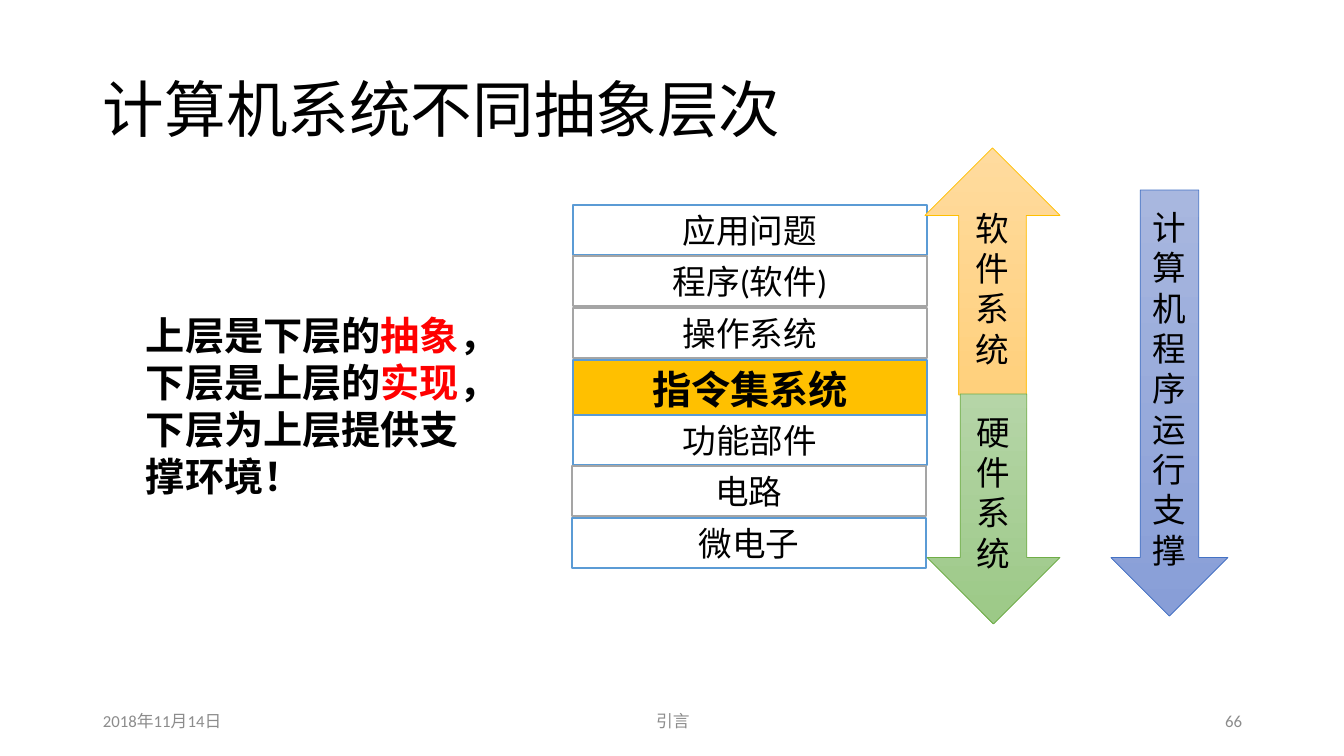
from pptx import Presentation
from pptx import util as u
from pptx.dml.color import RGBColor
from pptx.enum import shapes, text

BLACK = RGBColor(0x00, 0x00, 0x00)
WHITE = RGBColor(0xFF, 0xFF, 0xFF)
GREY = RGBColor(0x8C, 0x8C, 0x8C)
RED = RGBColor(0xFF, 0x00, 0x00)
GOLD = RGBColor(0xFF, 0xC0, 0x00)
SKY = RGBColor(0x5B, 0x9B, 0xD5)
SILVER = RGBColor(0xA5, 0xA5, 0xA5)
GREEN = RGBColor(0x70, 0xAD, 0x47)
BLUE = RGBColor(0x44, 0x72, 0xC4)

LEFT, CENTER, RIGHT = text.PP_ALIGN.LEFT, text.PP_ALIGN.CENTER, text.PP_ALIGN.RIGHT
UP, DOWN = shapes.MSO_SHAPE.UP_ARROW, shapes.MSO_SHAPE.DOWN_ARROW

TITLE = "计算机系统不同抽象层次"
FOOTERS = [  # text, left, width, alignment
    ("2018年11月14日", 93, 302, LEFT),
    ("引言", 446, 454, CENTER),
    ("66", 950, 302, RIGHT),
]
LAYER_WIDTH = 354
LAYERS = [  # text, left, top, line colour
    ("应用问题", 573, 205, SKY),
    ("程序(软件)", 573, 256, SILVER),
    ("操作系统", 573, 308, SILVER),
    ("指令集系统", 573, 360, SKY),
    ("功能部件", 573, 415, SKY),
    ("电路", 572, 466, SILVER),
    ("微电子", 572, 518, SKY),
]
KEY_LAYER = "指令集系统"
ARROWS = [  # text, shape, box, gradient from top to bottom, line colour
    ("软件系统", UP, (925, 148, 135, 247),
     (RGBColor(0xFF, 0xDB, 0x9E), RGBColor(0xFF, 0xD0, 0x7C)), GOLD),
    ("硬件系统", DOWN, (927, 394, 133, 230),
     (RGBColor(0xB5, 0xD5, 0xA7), RGBColor(0x9C, 0xC9, 0x87)), GREEN),
    ("计算机程序运行支撑", DOWN, (1111, 190, 117, 426),
     (RGBColor(0xA8, 0xB7, 0xDF), RGBColor(0x88, 0x9E, 0xD7)), BLUE),
]
SUMMARY = [  # paragraphs of (text, colour)
    [("上层是下层的", BLACK), ("抽象", RED), ("，下层是上层的", BLACK),
     ("实现", RED), ("，", BLACK)],
    [("下层为上层提供支撑环境！", BLACK)],
]


def px(length):
    return u.Emu(round(length * 914400 / 100.8))


def format_run(run, size, color, bold=False, face="Calibri"):
    run.font.name = face
    run.font.size = u.Pt(size)
    run.font.bold = bold
    run.font.color.rgb = color


def write(shape, words, size, color=BLACK, align=CENTER,
          anchor=text.MSO_ANCHOR.MIDDLE, bold=False):
    frame = shape.text_frame
    frame.word_wrap = True
    frame.vertical_anchor = anchor
    frame.text = words
    paragraph = frame.paragraphs[0]
    paragraph.alignment = align
    format_run(paragraph.runs[0], size, color, bold)
    return paragraph


def add_outlined(slide, kind, box, line, width):
    shape = slide.shapes.add_shape(kind, *map(px, box))
    shape.shadow.inherit = False
    shape.line.color.rgb = line
    shape.line.width = u.Pt(width)
    return shape


def add_layers(slide):
    for words, left, top, line in LAYERS:
        is_key = words == KEY_LAYER
        box = (left, top, LAYER_WIDTH, 57 if is_key else 50)
        layer = add_outlined(slide, shapes.MSO_SHAPE.RECTANGLE, box, line, 1)
        layer.fill.solid()
        layer.fill.fore_color.rgb = GOLD if is_key else WHITE
        write(layer, words, 28 if is_key else 24,
              anchor=text.MSO_ANCHOR.TOP, bold=is_key)
        layer.text_frame.auto_size = text.MSO_AUTO_SIZE.SHAPE_TO_FIT_TEXT


def add_arrows(slide):
    for words, kind, box, gradient, line in ARROWS:
        arrow = add_outlined(slide, kind, box, line, 0.5)
        arrow.fill.gradient()
        arrow.fill.gradient_angle = 270
        for stop, color in zip(arrow.fill.gradient_stops, gradient):
            stop.color.rgb = color
        write(arrow, words, 24)


def add_summary(slide):
    frame = slide.shapes.add_textbox(*map(px, (136, 306, 344, 201))).text_frame
    frame.word_wrap = True
    frame.auto_size = text.MSO_AUTO_SIZE.SHAPE_TO_FIT_TEXT
    for index, pieces in enumerate(SUMMARY):
        paragraph = frame.add_paragraph() if index else frame.paragraphs[0]
        for words, color in pieces:
            run = paragraph.add_run()
            run.text = words
            format_run(run, 28, color, bold=True, face="Arial")


def main():
    deck = Presentation()
    deck.slide_width, deck.slide_height = px(1344), px(756)
    slide = deck.slides.add_slide(deck.slide_layouts[6])

    title = slide.shapes.add_textbox(*map(px, (93, 40, 1159, 146)))
    write(title, TITLE, 44, align=LEFT).line_spacing = 0.9
    for words, left, width, align in FOOTERS:
        footer = slide.shapes.add_textbox(*map(px, (left, 701, width, 40)))
        write(footer, words, 12, GREY, align)
    add_layers(slide)
    add_arrows(slide)
    add_summary(slide)
    deck.save("out.pptx")


if __name__ == "__main__":
    main()
